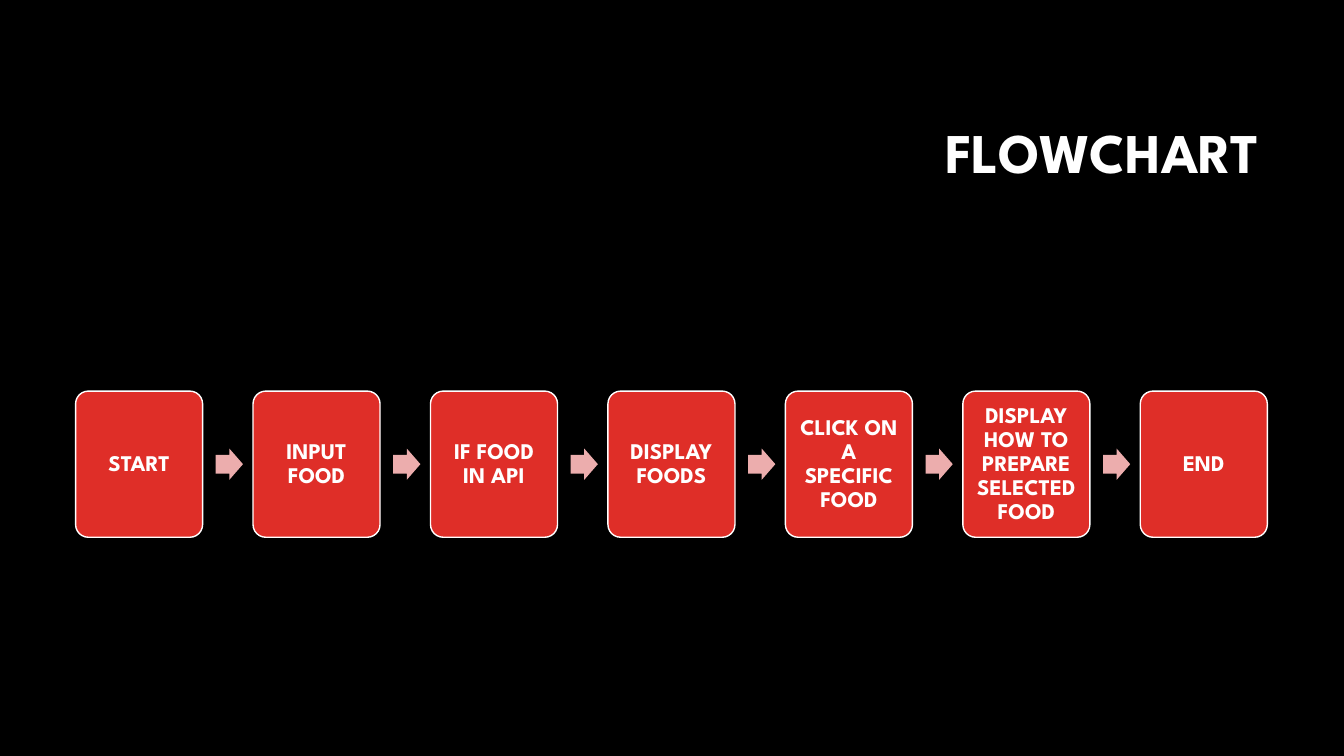
import pptx
import pptx.dml.color
import pptx.enum.shapes
import pptx.enum.text
import pptx.util

Inches = pptx.util.Inches
Pt = pptx.util.Pt
RGBColor = pptx.dml.color.RGBColor
MSO_SHAPE = pptx.enum.shapes.MSO_SHAPE
PP_ALIGN = pptx.enum.text.PP_ALIGN
MSO_ANCHOR = pptx.enum.text.MSO_ANCHOR

BLACK = RGBColor(0x00, 0x00, 0x00)
WHITE = RGBColor(0xFF, 0xFF, 0xFF)
RED = RGBColor(0xDF, 0x2E, 0x28)
PINK = RGBColor(0xEC, 0xAD, 0xAD)

STEPS = [
    "START",
    "INPUT FOOD",
    "IF FOOD IN API",
    "DISPLAY FOODS",
    "CLICK ON A SPECIFIC FOOD",
    "DISPLAY HOW TO PREPARE SELECTED FOOD",
    "END",
]
FIRST_LEFT, STEP_PITCH = 0.75, 1.76
STEP_TOP, STEP_WIDTH, STEP_HEIGHT = 3.88, 1.26, 1.45
ARROW_OFFSET, ARROW_WIDTH, ARROW_HEIGHT = 1.39, 0.27, 0.31


class FlowchartSlide:
    """Hold the flowchart style and the slide it is drawn on."""

    font_name = "League Spartan"

    def __init__(self, presentation):
        self.slide = presentation.slides.add_slide(presentation.slide_layouts[5])
        background = self.slide.background.fill
        background.solid()
        background.fore_color.rgb = BLACK

    def set_text(self, shape, text, size, alignment, inset_x, inset_y):
        frame = shape.text_frame
        frame.word_wrap = True
        frame.auto_size = pptx.enum.text.MSO_AUTO_SIZE.NONE
        frame.vertical_anchor = MSO_ANCHOR.MIDDLE
        frame.margin_left = frame.margin_right = Inches(inset_x)
        frame.margin_top = frame.margin_bottom = Inches(inset_y)
        paragraph = frame.paragraphs[0]
        paragraph.alignment = alignment
        paragraph.line_spacing = 0.9
        run = paragraph.add_run()
        run.text = text
        run.font.name = self.font_name
        run.font.size = Pt(size)
        run.font.bold = True
        run.font.color.rgb = WHITE

    def title(self, text, left, top, width, height):
        shape = self.slide.shapes.title
        shape.left, shape.top = Inches(left), Inches(top)
        shape.width, shape.height = Inches(width), Inches(height)
        self.set_text(shape, text, 40, PP_ALIGN.RIGHT, 0.1, 0.05)

    def preset(self, kind, left, top, width, height, color):
        shape = self.slide.shapes.add_shape(
            kind, Inches(left), Inches(top), Inches(width), Inches(height)
        )
        shape.shadow.inherit = False
        shape.fill.solid()
        shape.fill.fore_color.rgb = color
        return shape

    def step(self, text, left):
        shape = self.preset(
            MSO_SHAPE.ROUNDED_RECTANGLE, left, STEP_TOP, STEP_WIDTH, STEP_HEIGHT, RED
        )
        shape.adjustments[0] = 0.1
        shape.line.color.rgb = WHITE
        shape.line.width = Pt(1)
        self.set_text(shape, text, 16, PP_ALIGN.CENTER, 0.07, 0.07)

    def arrow(self, left):
        top = STEP_TOP + (STEP_HEIGHT - ARROW_HEIGHT) / 2
        shape = self.preset(
            MSO_SHAPE.RIGHT_ARROW, left, top, ARROW_WIDTH, ARROW_HEIGHT, PINK
        )
        shape.adjustments[0] = 0.6
        shape.adjustments[1] = 0.5
        shape.line.fill.background()


def main():
    presentation = pptx.Presentation()
    presentation.slide_width = Inches(13.33)
    presentation.slide_height = Inches(7.5)
    flowchart = FlowchartSlide(presentation)
    flowchart.title("FLOWCHART", 3.17, 0.84, 9.42, 1.41)
    for index, text in enumerate(STEPS):
        left = FIRST_LEFT + index * STEP_PITCH
        flowchart.step(text, left)
        if index < len(STEPS) - 1:
            flowchart.arrow(left + ARROW_OFFSET)
    presentation.save("out.pptx")


if __name__ == "__main__":
    main()
